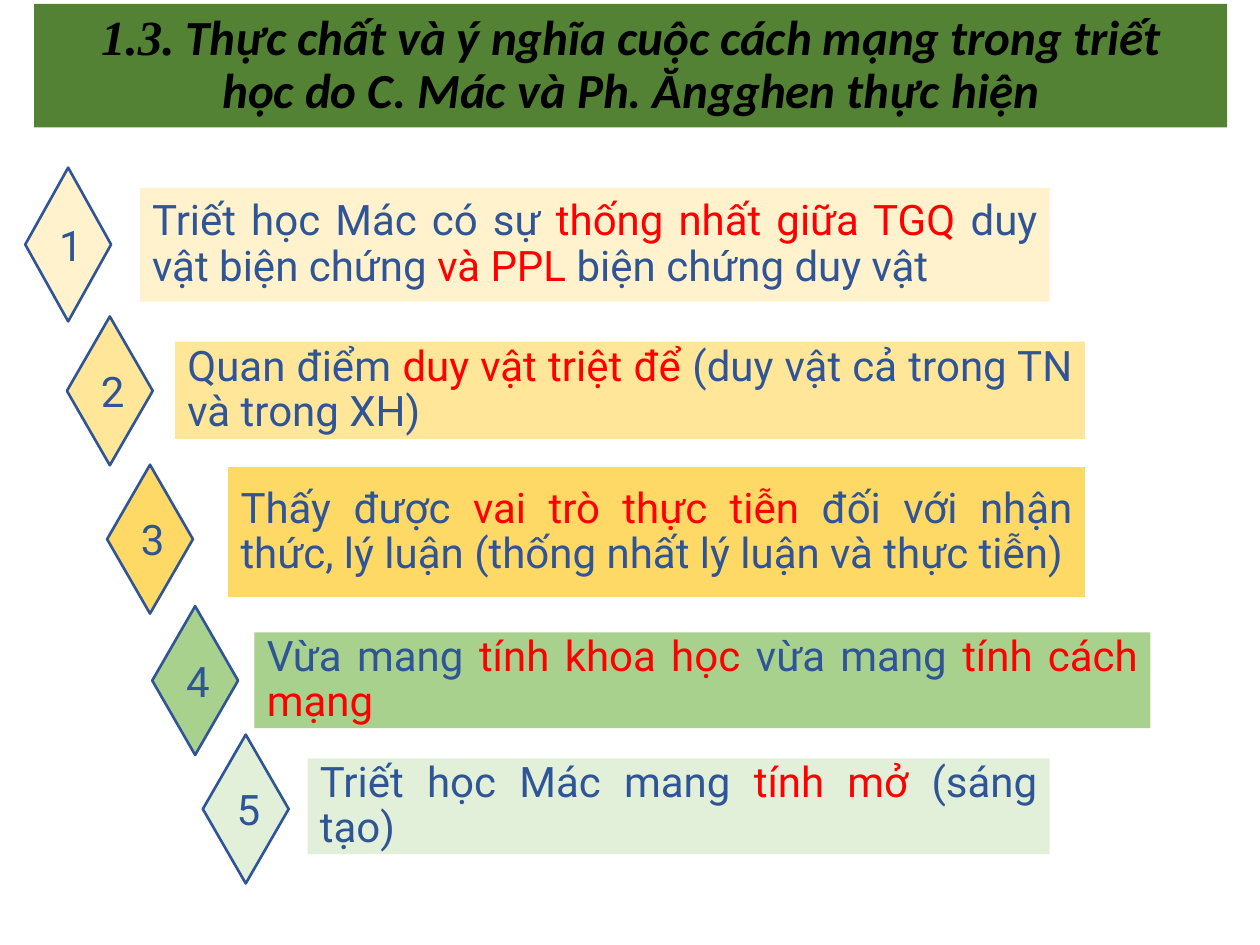
from pptx import Presentation
from pptx.dml.color import RGBColor
from pptx.enum.shapes import MSO_SHAPE
from pptx.enum.text import MSO_ANCHOR, PP_ALIGN
from pptx.util import Cm, Pt

RECTANGLE, DIAMOND = MSO_SHAPE.RECTANGLE, MSO_SHAPE.FLOWCHART_DECISION
CENTER, JUSTIFY = PP_ALIGN.CENTER, PP_ALIGN.JUSTIFY
MIDDLE = MSO_ANCHOR.MIDDLE

BLACK = RGBColor(0x00, 0x00, 0x00)
BLUE = RGBColor(0x2F, 0x55, 0x97)
RED = RGBColor(0xFF, 0x00, 0x00)
DARK_GREEN = RGBColor(0x54, 0x82, 0x35)
CREAM = RGBColor(0xFF, 0xF2, 0xCC)
YELLOW = RGBColor(0xFF, 0xE6, 0x99)
GOLD = RGBColor(0xFF, 0xD9, 0x66)
GREEN = RGBColor(0xA9, 0xD1, 0x8E)
PALE_GREEN = RGBColor(0xE2, 0xF0, 0xD9)

DIAMOND_WIDTH = 1.73

TITLE_BOX = (0.69, 0.08, 24.05, 2.49)
TITLE = [
    ("1.3.", "Times New Roman"),
    (" Thực chất và ý nghĩa cuộc cách mạng trong triết học "
     "do C. Mác và Ph. Ăngghen thực hiện", "Calibri"),
]

ITEMS = [
    ((0.51, 3.38, 20.65, 3.1), (2.31, 0.41, 2.29), CREAM,
     ["Triết học Mác có sự ", "thống nhất giữa TGQ ", "duy vật biện chứng ",
      "và PPL ", "biện chứng duy vật"]),
    ((1.35, 6.38, 20.52, 3), (2.18, 0.51, 1.96), YELLOW,
     ["Quan điểm ", "duy vật triệt để ", "(duy vật cả trong TN và trong XH)"]),
    ((2.16, 9.37, 19.71, 3), (2.44, 0.05, 2.62), GOLD,
     ["Thấy được ", "vai trò thực tiễn ",
      "đối với nhận thức, lý luận (thống nhất lý luận và thực tiễn)"]),
    ((3.07, 12.22, 20.12, 3), (2.06, 0.53, 1.93), GREEN,
     ["Vừa mang ", "tính khoa học ", "vừa mang ", "tính cách mạng"]),
    ((4.09, 14.81, 17.07, 3), (2.11, 0.48, 1.93), PALE_GREEN,
     ["Triết học Mác mang ", "tính mở ", "(sáng tạo)"]),
]


def add_block(slide, kind, box, fill, outline=None):
    block = slide.shapes.add_shape(kind, *(Cm(length) for length in box))
    block.shadow.inherit = False
    block.fill.solid()
    block.fill.fore_color.rgb = fill
    if outline is None:
        block.line.fill.background()
    else:
        block.line.color.rgb = outline
        block.line.width = Pt(1.5)
    return block


def write(block, text, size=24, font="Roboto", color=BLUE, bold=False,
          italic=False, align=CENTER, spacing=None):
    frame = block.text_frame
    frame.word_wrap = True
    frame.vertical_anchor = MIDDLE
    paragraph = frame.paragraphs[0]
    paragraph.alignment = align
    paragraph.line_spacing = spacing
    run = paragraph.add_run()
    run.text = text
    run.font.size = Pt(size)
    run.font.name = font
    run.font.color.rgb = color
    run.font.bold = bold
    run.font.italic = italic


def add_title(slide, box):
    banner = add_block(slide, RECTANGLE, box, DARK_GREEN)
    frame = banner.text_frame
    frame.margin_left = frame.margin_right = Cm(0.61)
    frame.margin_top = frame.margin_bottom = 0
    for phrase, font in TITLE:
        write(banner, phrase, size=28, font=font, color=BLACK, bold=True,
              italic=True, spacing=0.9)


def add_item(slide, box, bar_place, number, fill, phrases):
    left, top, width, height = box
    indent, drop, bar_height = bar_place
    bar = add_block(slide, RECTANGLE,
                    (left + indent, top + drop, width - indent, bar_height), fill)
    for index, phrase in enumerate(phrases):
        write(bar, phrase, color=RED if index % 2 else BLUE,
              align=JUSTIFY, spacing=0.9)
    marker = add_block(slide, DIAMOND, (left, top, DIAMOND_WIDTH, height), fill, BLUE)
    write(marker, str(number))


def main():
    deck = Presentation()
    deck.slide_width, deck.slide_height = Cm(25.4), Cm(19.05)
    slide = deck.slides.add_slide(deck.slide_layouts[6])
    for number, (box, bar_place, fill, phrases) in enumerate(ITEMS, start=1):
        add_item(slide, box, bar_place, number, fill, phrases)
    add_title(slide, TITLE_BOX)
    deck.save("out.pptx")


if __name__ == "__main__":
    main()
